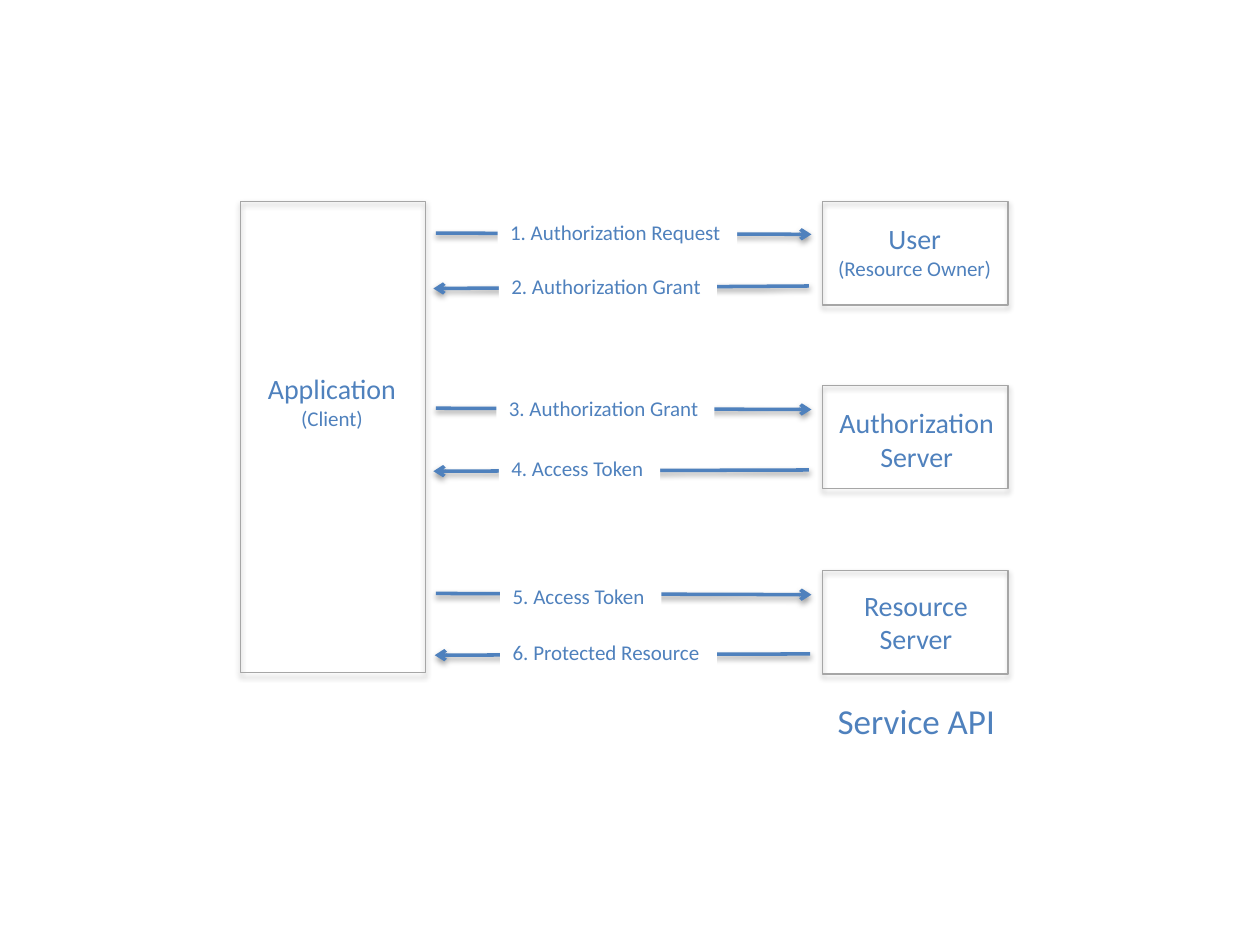
from lxml import etree
from pptx import Presentation
from pptx.dml.color import RGBColor
from pptx.enum.shapes import MSO_CONNECTOR, MSO_SHAPE
from pptx.enum.text import MSO_AUTO_SIZE, PP_ALIGN
from pptx.oxml.ns import qn
from pptx.util import Emu, Pt

RECTANGLE = MSO_SHAPE.RECTANGLE
STRAIGHT = MSO_CONNECTOR.STRAIGHT
GROW = MSO_AUTO_SIZE.SHAPE_TO_FIT_TEXT
LEFT, CENTER = PP_ALIGN.LEFT, PP_ALIGN.CENTER

PX = 9144  # 100 px to the inch
BLUE, GRAY, WHITE = "4F81BD", "A6A6A6", "FFFFFF"
FONT = "Calibri"
BOX_SHADOW = {"blurRad": 40000, "dist": 23000, "alpha": 35000}
ARROW_SHADOW = {"blurRad": 40000, "dist": 20000, "alpha": 38000}

# box (left, top, width, height), text (left, top, width, height), lines (text, size)
PARTIES = [
    ((653, 160, 147, 82), (654, 171, 144, 57), [("User", 16), ("(Resource Owner)", 12)]),
    ((653, 306, 147, 82), (655, 317, 145, 64), [("Authorization", 16), ("Server", 16)]),
    ((653, 453, 147, 82), (675, 462, 104, 64), [("Resource", 16), ("Server", 16)]),
    ((191, 160, 147, 374), (202, 290, 123, 57), [("Application", 16), ("(Client)", 12)]),
]
API_CAPTION = ((655, 550, 146, 44), [("Service API", 20)])

# label, label (left, top, width), arrow (from x, from y, to x, to y)
MESSAGES = [
    ("1. Authorization Request", (395, 169, 190), (346, 185, 644, 186)),
    ("2. Authorization Grant", (396, 212, 173), (642, 227, 344, 229)),
    ("3. Authorization Grant", (394, 309, 173), (346, 324, 644, 325)),
    ("4. Access Token", (396, 357, 128), (642, 373, 344, 374)),
    ("5. Access Token", (397, 458, 128), (346, 471, 644, 472)),
    ("6. Protected Resource", (397, 503, 172), (643, 519, 345, 520)),
]
LABEL_HEIGHT = 30


def rgb(color):
    return RGBColor.from_string(color)


def emu(lengths):
    return [Emu(length * PX) for length in lengths]


def add_shadow(effects, blurRad, dist, alpha):
    """Put a black shadow that falls straight down into an a:effectLst."""
    shadow = etree.SubElement(effects, qn("a:outerShdw"), blurRad=str(blurRad),
                              dist=str(dist), dir="5400000", rotWithShape="0")
    black = etree.SubElement(shadow, qn("a:srgbClr"), val="000000")
    etree.SubElement(black, qn("a:alpha"), val=str(alpha))


def add_text(slide, area, lines, align=LEFT):
    textbox = slide.shapes.add_textbox(*emu(area))
    frame = textbox.text_frame
    frame.word_wrap = False
    frame.auto_size = GROW
    for index, (text, size) in enumerate(lines):
        paragraph = frame.add_paragraph() if index else frame.paragraphs[0]
        paragraph.alignment = align
        run = paragraph.add_run()
        run.text = text
        for name, value in {"name": FONT, "size": Pt(size)}.items():
            setattr(run.font, name, value)
        run.font.color.rgb = rgb(BLUE)
    return textbox


def add_party(slide, area, text_area, lines):
    box = slide.shapes.add_shape(RECTANGLE, *emu(area))
    box.fill.background()
    box.line.color.rgb = rgb(GRAY)
    box.line.width = Pt(0.75)
    box.shadow.inherit = False
    add_shadow(box._element.spPr.find(qn("a:effectLst")), **BOX_SHADOW)
    add_text(slide, text_area, lines, CENTER)


def add_arrow(slide, ends):
    arrow = slide.shapes.add_connector(STRAIGHT, *emu(ends))
    arrow.line.color.rgb = rgb(BLUE)
    arrow.line.width = Pt(2)
    properties = arrow._element.spPr
    etree.SubElement(properties.find(qn("a:ln")), qn("a:tailEnd"), type="arrow")
    add_shadow(etree.SubElement(properties, qn("a:effectLst")), **ARROW_SHADOW)


def add_message(slide, text, place, ends):
    """Draw an arrow and lay a white label over the middle of it."""
    add_arrow(slide, ends)
    label = add_text(slide, (*place, LABEL_HEIGHT), [(text, 12)])
    label.fill.solid()
    label.fill.fore_color.rgb = rgb(WHITE)


def main():
    presentation = Presentation()
    presentation.slide_width, presentation.slide_height = emu((1000, 750))
    slide = presentation.slides.add_slide(presentation.slide_layouts[6])
    for party in PARTIES:
        add_party(slide, *party)
    add_text(slide, *API_CAPTION)
    for message in MESSAGES:
        add_message(slide, *message)
    presentation.save("out.pptx")


if __name__ == "__main__":
    main()
